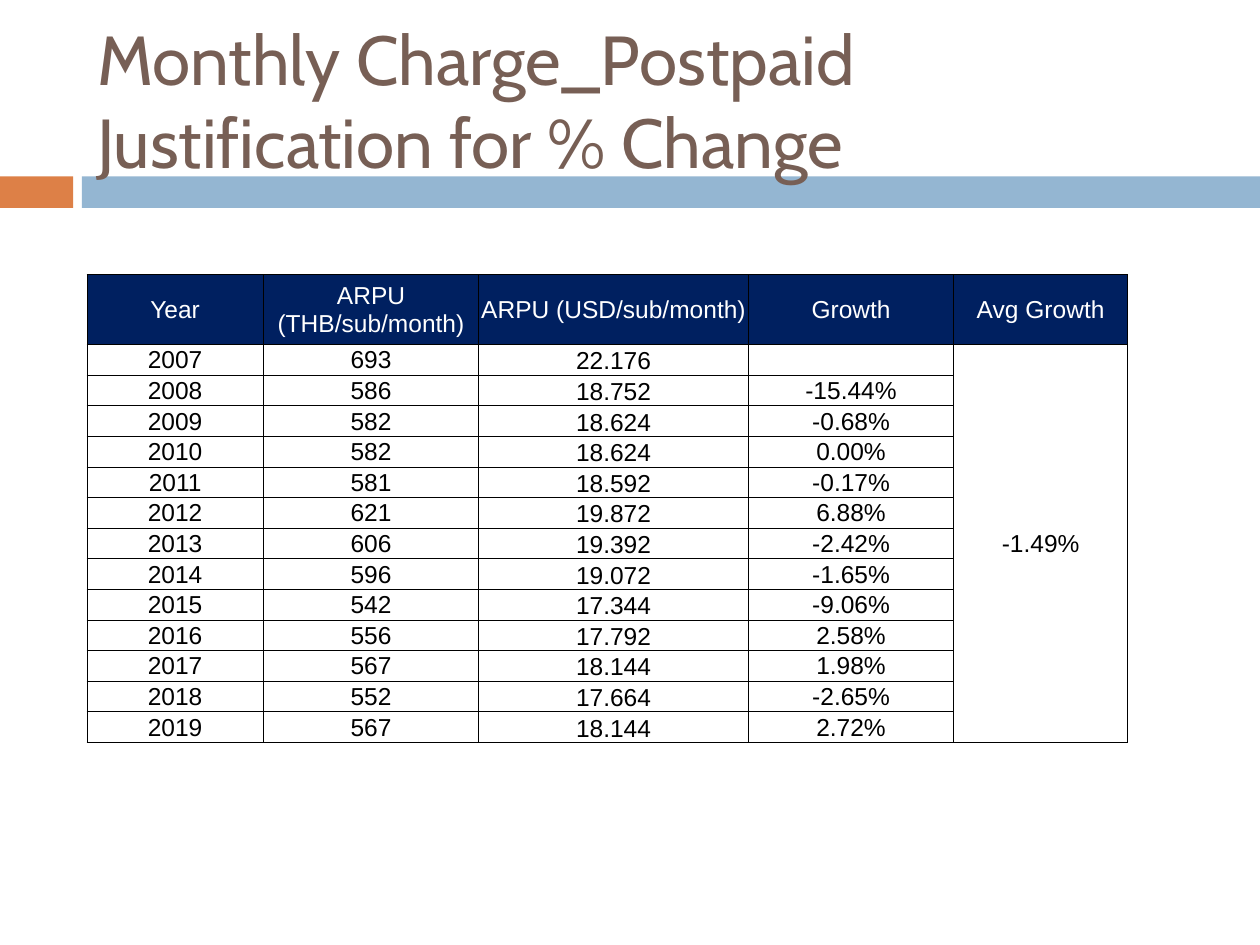
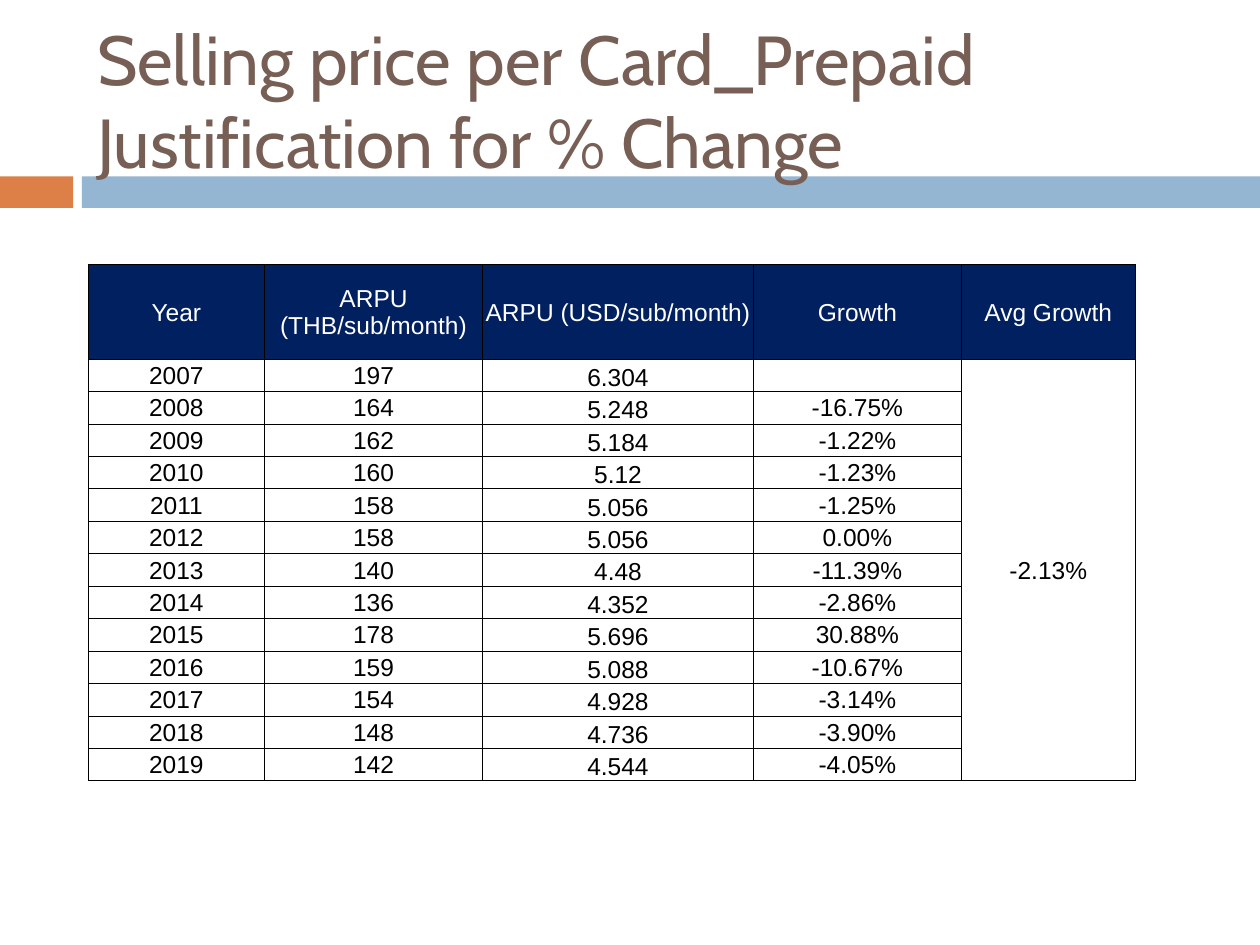
from lxml import etree
from pptx import Presentation
from pptx.dml.color import RGBColor
from pptx.enum.shapes import MSO_SHAPE
from pptx.enum.text import MSO_ANCHOR, MSO_AUTO_SIZE, PP_ALIGN
from pptx.oxml.ns import qn
from pptx.util import Inches, Pt

RECTANGLE = MSO_SHAPE.RECTANGLE
LEFT, CENTER = PP_ALIGN.LEFT, PP_ALIGN.CENTER
MIDDLE, BOTTOM = MSO_ANCHOR.MIDDLE, MSO_ANCHOR.BOTTOM
NO_AUTOFIT = MSO_AUTO_SIZE.NONE

# Content
HEADERS = ["Year", "ARPU (THB/sub/month)", "ARPU (USD/sub/month)", "Growth", "Avg Growth"]
FIRST_YEAR = 2007
SLIDES = [
    {
        "title": "Monthly Charge_Postpaid\vJustification for % Change",
        "left": 0.69, "top": 2.18, "height": 3.71, "header_height": 0.55,
        "columns": [1.4, 1.71, 2.14, 1.63, 1.38],
        "average": "-1.49%",
        "rows": [
            ("693", "22.176", ""),
            ("586", "18.752", "-15.44%"),
            ("582", "18.624", "-0.68%"),
            ("582", "18.624", "0.00%"),
            ("581", "18.592", "-0.17%"),
            ("621", "19.872", "6.88%"),
            ("606", "19.392", "-2.42%"),
            ("596", "19.072", "-1.65%"),
            ("542", "17.344", "-9.06%"),
            ("556", "17.792", "2.58%"),
            ("567", "18.144", "1.98%"),
            ("552", "17.664", "-2.65%"),
            ("567", "18.144", "2.72%"),
        ],
    },
    {
        "title": "Selling price per Card_Prepaid\vJustification for % Change",
        "left": 0.7, "top": 2.1, "height": 4.1, "header_height": 0.75,
        "columns": [1.4, 1.73, 2.15, 1.65, 1.38],
        "average": "-2.13%",
        "rows": [
            ("197", "6.304", ""),
            ("164", "5.248", "-16.75%"),
            ("162", "5.184", "-1.22%"),
            ("160", "5.12", "-1.23%"),
            ("158", "5.056", "-1.25%"),
            ("158", "5.056", "0.00%"),
            ("140", "4.48", "-11.39%"),
            ("136", "4.352", "-2.86%"),
            ("178", "5.696", "30.88%"),
            ("159", "5.088", "-10.67%"),
            ("154", "4.928", "-3.14%"),
            ("148", "4.736", "-3.90%"),
            ("142", "4.544", "-4.05%"),
        ],
    },
]

# Shared look
WIDTH, HEIGHT = 10, 7.5
TITLE_BOX = (0.67, 0.25, 8.92, 1.08)
BAND_TOP, BAND_HEIGHT = 1.4, 0.25
BANDS = [(0, 0.58, "DD8047"), (0.65, WIDTH - 0.65, "94B6D2")]
TITLE_FORMAT = {"font": "Cabin", "size": 39.6, "color": "775F55", "align": LEFT}
CELL_FORMAT = {"font": "Arial", "size": 14, "align": CENTER}
HEADER_FILL, BORDER = "002060", "000000"
USD_COLUMN = 2


def rgb(color):
    return RGBColor.from_string(color)


def write(text_frame, text, *, font, size, color, align):
    text_frame.text = text
    paragraph = text_frame.paragraphs[0]
    paragraph.alignment = align
    for run in paragraph.runs:
        run.font.name = font
        run.font.size = Pt(size)
        run.font.bold = False
        run.font.color.rgb = rgb(color)
    # The end mark keeps empty cells as low as filled ones
    paragraph._p.get_or_add_endParaRPr().set("sz", str(round(size * 100)))


def add_bands(slide, layout):
    """Draw the two bands and hand them to the layout, behind the title."""
    for left, width, color in BANDS:
        band = slide.shapes.add_shape(RECTANGLE, Inches(left), Inches(BAND_TOP),
                                      Inches(width), Inches(BAND_HEIGHT))
        band.shadow.inherit = False
        band.fill.solid()
        band.fill.fore_color.rgb = rgb(color)
        band.line.fill.background()
        layout.shapes._spTree.insert(2, band._element)


def set_borders(cell):
    properties = cell._tc.get_or_add_tcPr()
    for position, side in enumerate(("lnL", "lnR", "lnT", "lnB")):
        line = etree.Element(qn(f"a:{side}"), w=str(Pt(0.5)))
        fill = etree.SubElement(line, qn("a:solidFill"))
        etree.SubElement(fill, qn("a:srgbClr"), val=BORDER)
        properties.insert(position, line)


def format_cell(cell, text, is_header, anchor):
    write(cell.text_frame, text, color="FFFFFF" if is_header else "000000", **CELL_FORMAT)
    cell.margin_left = cell.margin_right = cell.margin_top = Inches(0.01)
    cell.margin_bottom = 0
    cell.vertical_anchor = anchor
    if is_header:
        cell.fill.solid()
        cell.fill.fore_color.rgb = rgb(HEADER_FILL)
    else:
        cell.fill.background()
    set_borders(cell)


def add_growth_table(slide, content):
    rows = [HEADERS]
    for index, values in enumerate(content["rows"]):
        average = content["average"] if index == 0 else ""
        rows.append([str(FIRST_YEAR + index), *values, average])

    table = slide.shapes.add_table(
        len(rows), len(HEADERS), Inches(content["left"]), Inches(content["top"]),
        Inches(sum(content["columns"])), Inches(content["height"])).table
    table.first_row = table.horz_banding = False

    for column, width in zip(table.columns, content["columns"]):
        column.width = Inches(width)
    year_height = (content["height"] - content["header_height"]) / len(content["rows"])
    for index, row in enumerate(table.rows):
        row.height = Inches(year_height if index else content["header_height"])

    for row_index, row in enumerate(rows):
        for column_index, text in enumerate(row):
            is_header = row_index == 0
            anchor = BOTTOM if column_index == USD_COLUMN and not is_header else MIDDLE
            format_cell(table.cell(row_index, column_index), text, is_header, anchor)

    # One average spans all years
    last = len(HEADERS) - 1
    table.cell(1, last).merge(table.cell(len(rows) - 1, last))


def add_title(slide, text):
    title = slide.shapes.title
    title.left, title.top, title.width, title.height = map(Inches, TITLE_BOX)
    title.text_frame.auto_size = NO_AUTOFIT
    title.text_frame.vertical_anchor = MIDDLE
    write(title.text_frame, text, **TITLE_FORMAT)


def main():
    presentation = Presentation()
    presentation.slide_width = Inches(WIDTH)
    presentation.slide_height = Inches(HEIGHT)
    layout = presentation.slide_layouts.get_by_name("Title Only")
    for content in SLIDES:
        slide = presentation.slides.add_slide(layout)
        add_title(slide, content["title"])
        add_growth_table(slide, content)
    add_bands(presentation.slides[0], layout)
    presentation.save("out.pptx")


if __name__ == "__main__":
    main()
